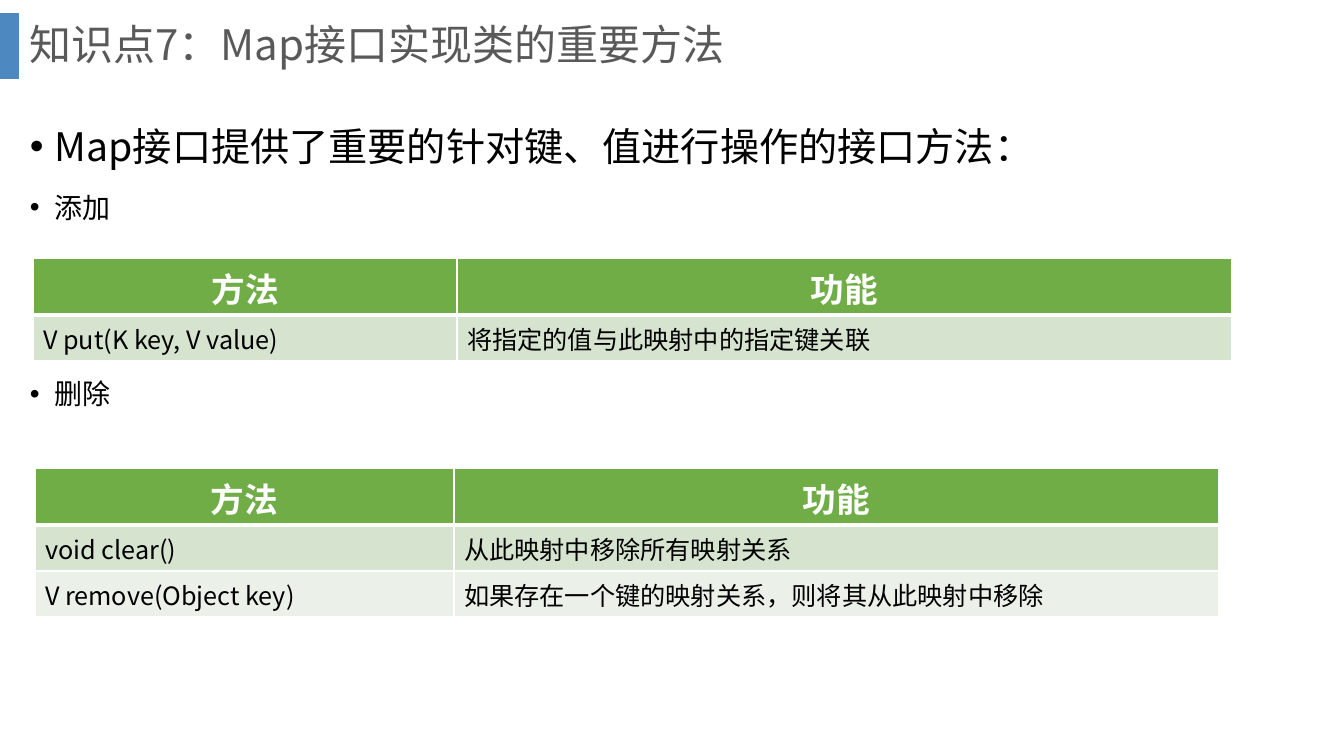
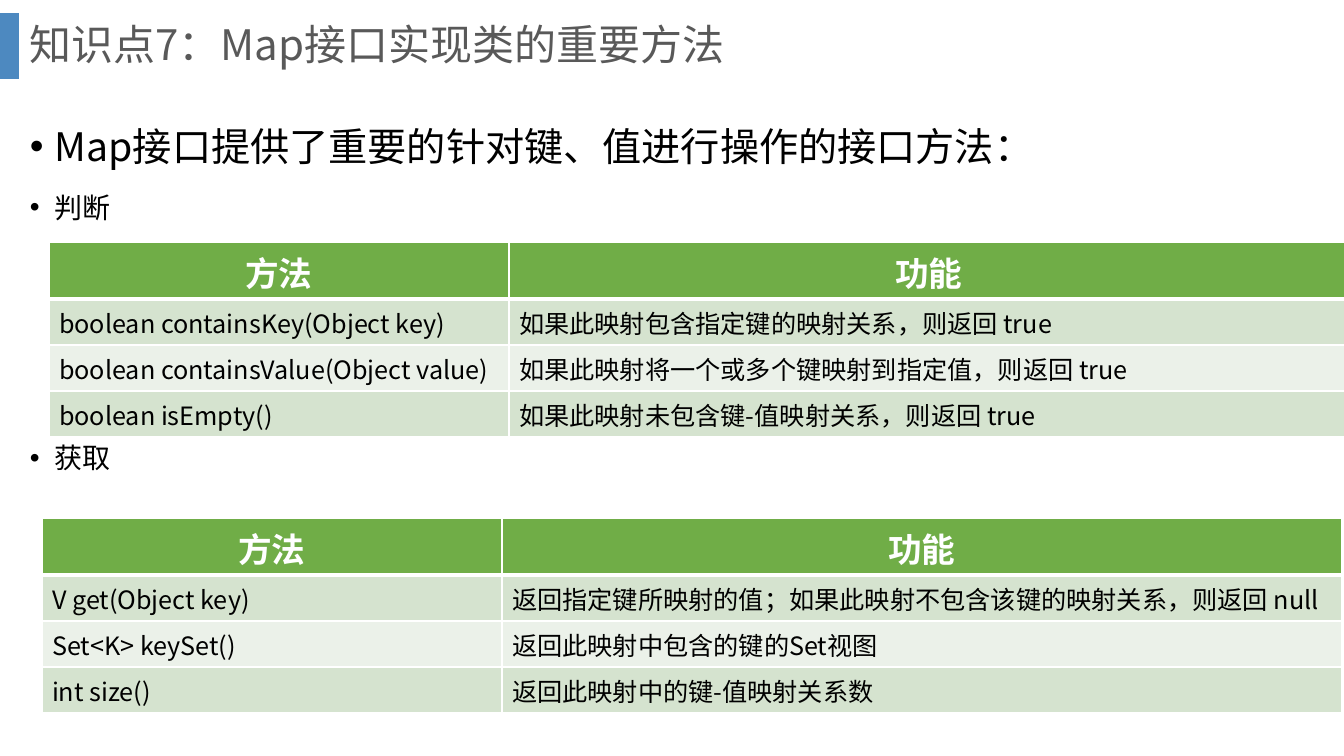
from lxml import etree
from pptx import Presentation
from pptx.dml.color import RGBColor
from pptx.enum.shapes import MSO_SHAPE
from pptx.enum.text import MSO_ANCHOR, MSO_AUTO_SIZE, PP_ALIGN
from pptx.oxml.ns import qn
from pptx.util import Pt

RECT = MSO_SHAPE.RECTANGLE
MIDDLE, TOP = MSO_ANCHOR.MIDDLE, MSO_ANCHOR.TOP
LEFT, CENTER = PP_ALIGN.LEFT, PP_ALIGN.CENTER
NO_FIT = MSO_AUTO_SIZE.NONE

# Colours
BLUE = RGBColor(0x2E, 0x75, 0xB6)
GREY = RGBColor(0x59, 0x59, 0x59)
BLACK = RGBColor(0x00, 0x00, 0x00)
WHITE = RGBColor(0xFF, 0xFF, 0xFF)
GREEN = RGBColor(0x70, 0xAD, 0x47)
BANDS = (RGBColor(0xD5, 0xE3, 0xCF), RGBColor(0xEB, 0xF1, 0xE9))

# Text formats
FONT = "Noto Sans CJK SC"
TITLE = {"size": Pt(30), "bold": False, "color": GREY}
LEAD = {"size": Pt(28), "bold": False, "color": BLACK}
TOPIC = {"size": Pt(20), "bold": False, "color": BLACK}
HEAD = {"size": Pt(24), "bold": True, "color": WHITE}
CELL = {"size": Pt(18), "bold": False, "color": BLACK}

# Geometry in px
SLIDE_W, SLIDE_H = 1344, 756
HEAD_H, ROW_H = 57, 46
BULLET_INDENT = 25
TITLE_ONLY = 5

TITLE_TEXT = "知识点7：Map接口实现类的重要方法"
LEAD_TEXT = "Map接口提供了重要的针对键、值进行操作的接口方法："
HEADERS = ("方法", "功能")


def px(n):
    return round(n * 914400 / 100.8)


class Deck:
    """Holds the shared style and the current slide."""

    def __init__(self):
        self.prs = Presentation()
        self.prs.slide_width, self.prs.slide_height = px(SLIDE_W), px(SLIDE_H)
        self.s = None

    def text(self, p, text, fmt, align=LEFT):
        p.alignment = align
        r = p.add_run()
        r.text = text
        r.font.name = FONT
        for key, value in fmt.items():
            if key == "color":
                r.font.color.rgb = value
            else:
                setattr(r.font, key, value)
        ea = etree.SubElement(r._r.get_or_add_rPr(), qn("a:ea"))
        ea.set("typeface", FONT)

    def slide(self, title):
        self.s = self.prs.slides.add_slide(self.prs.slide_layouts[TITLE_ONLY])
        self.bar(0, 13, 19, 66)
        sp = self.s.shapes.title
        sp.left, sp.top, sp.width, sp.height = map(px, (19, 0, 1276, 94))
        tf = sp.text_frame
        tf.auto_size, tf.vertical_anchor = NO_FIT, MIDDLE
        p = tf.paragraphs[0]
        p.line_spacing = 0.9
        self.text(p, title, TITLE)

    def bar(self, x, y, w, h):
        sp = self.s.shapes.add_shape(RECT, *map(px, (x, y, w, h)))
        sp.shadow.inherit = False
        sp.line.fill.background()
        sp.fill.solid()
        sp.fill.fore_color.rgb = BLUE
        clr = sp._element.spPr.find(".//" + qn("a:srgbClr"))
        etree.SubElement(clr, qn("a:alpha")).set("val", "85000")

    def bullets(self, items):
        """Each item is (text, format, gap above in px)."""
        sp = self.s.shapes.add_textbox(*map(px, (20, 99, 1300, 647)))
        tf = sp.text_frame
        tf.word_wrap, tf.margin_top = True, px(23)
        for i, (text, fmt, gap) in enumerate(items):
            p = tf.add_paragraph() if i else tf.paragraphs[0]
            p.line_spacing, p.space_before = 1.0, px(gap)
            self.text(p, text, fmt)
            pPr = p._p.get_or_add_pPr()
            pPr.set("marL", str(px(BULLET_INDENT)))
            pPr.set("indent", str(-px(BULLET_INDENT)))
            etree.SubElement(pPr, qn("a:buFont")).set("typeface", "Arial")
            etree.SubElement(pPr, qn("a:buChar")).set("char", "•")

    def borders(self, cell, bottom):
        tcPr = cell._tc.get_or_add_tcPr()
        for side, width in zip("LRTB", (1, 1, 1, bottom)):
            ln = etree.SubElement(tcPr, qn("a:ln" + side), w=str(Pt(width)))
            fill = etree.SubElement(ln, qn("a:solidFill"))
            etree.SubElement(fill, qn("a:srgbClr")).set("val", str(WHITE))

    def table(self, x, y, widths, rows):
        rows = [HEADERS, *rows]
        h = HEAD_H + ROW_H * (len(rows) - 1)
        frame = self.s.shapes.add_table(
            len(rows), len(widths), *map(px, (x, y, sum(widths), h)))
        tbl = frame.table
        for col, width in zip(tbl.columns, widths):
            col.width = px(width)
        for i, texts in enumerate(rows):
            head = i == 0
            tbl.rows[i].height = px(HEAD_H if head else ROW_H)
            for j, text in enumerate(texts):
                cell = tbl.cell(i, j)
                self.borders(cell, 3 if head else 1)
                cell.fill.solid()
                cell.fill.fore_color.rgb = GREEN if head else BANDS[(i - 1) % 2]
                cell.vertical_anchor = MIDDLE if head else TOP
                self.text(cell.text_frame.paragraphs[0], text,
                          HEAD if head else CELL, CENTER if head else LEFT)


# Per slide: gap above the second topic, then (topic, x, y, widths, rows)
SLIDES = (
    (153, (
        ("添加", 33, 258, (424, 775), (
            ("V put(K key, V value)", "将指定的值与此映射中的指定键关联"),
        )),
        ("删除", 35, 468, (419, 765), (
            ("void clear()", "从此映射中移除所有映射关系"),
            ("V remove(Object key)",
             "如果存在一个键的映射关系，则将其从此映射中移除"),
        )),
    )),
    (217, (
        ("判断", 49, 242, (460, 840), (
            ("boolean containsKey(Object key)",
             "如果此映射包含指定键的映射关系，则返回 true"),
            ("boolean containsValue(Object value)",
             "如果此映射将一个或多个键映射到指定值，则返回 true"),
            ("boolean isEmpty()", "如果此映射未包含键-值映射关系，则返回 true"),
        )),
        ("获取", 42, 518, (460, 840), (
            ("V get(Object key)",
             "返回指定键所映射的值；如果此映射不包含该键的映射关系，则返回 null"),
            ("Set<K> keySet()", "返回此映射中包含的键的Set视图"),
            ("int size()", "返回此映射中的键-值映射关系数"),
        )),
    )),
)


def main():
    deck = Deck()
    for gap, sections in SLIDES:
        deck.slide(TITLE_TEXT)
        topics = [(sec[0], TOPIC, g) for sec, g in zip(sections, (21, gap))]
        deck.bullets([(LEAD_TEXT, LEAD, 0), *topics])
        for _, x, y, widths, rows in sections:
            deck.table(x, y, widths, rows)
    deck.prs.save("out.pptx")


if __name__ == "__main__":
    main()
